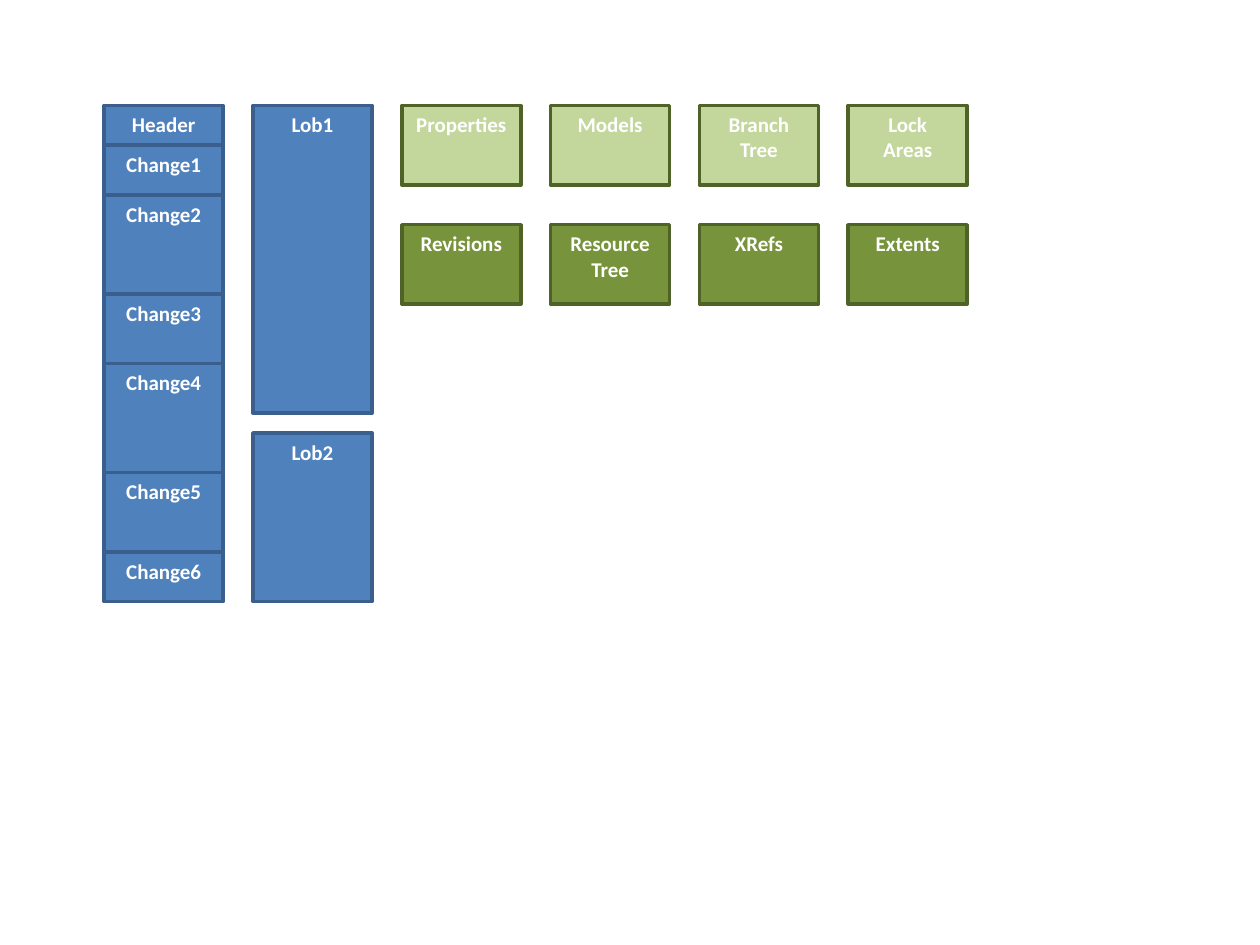
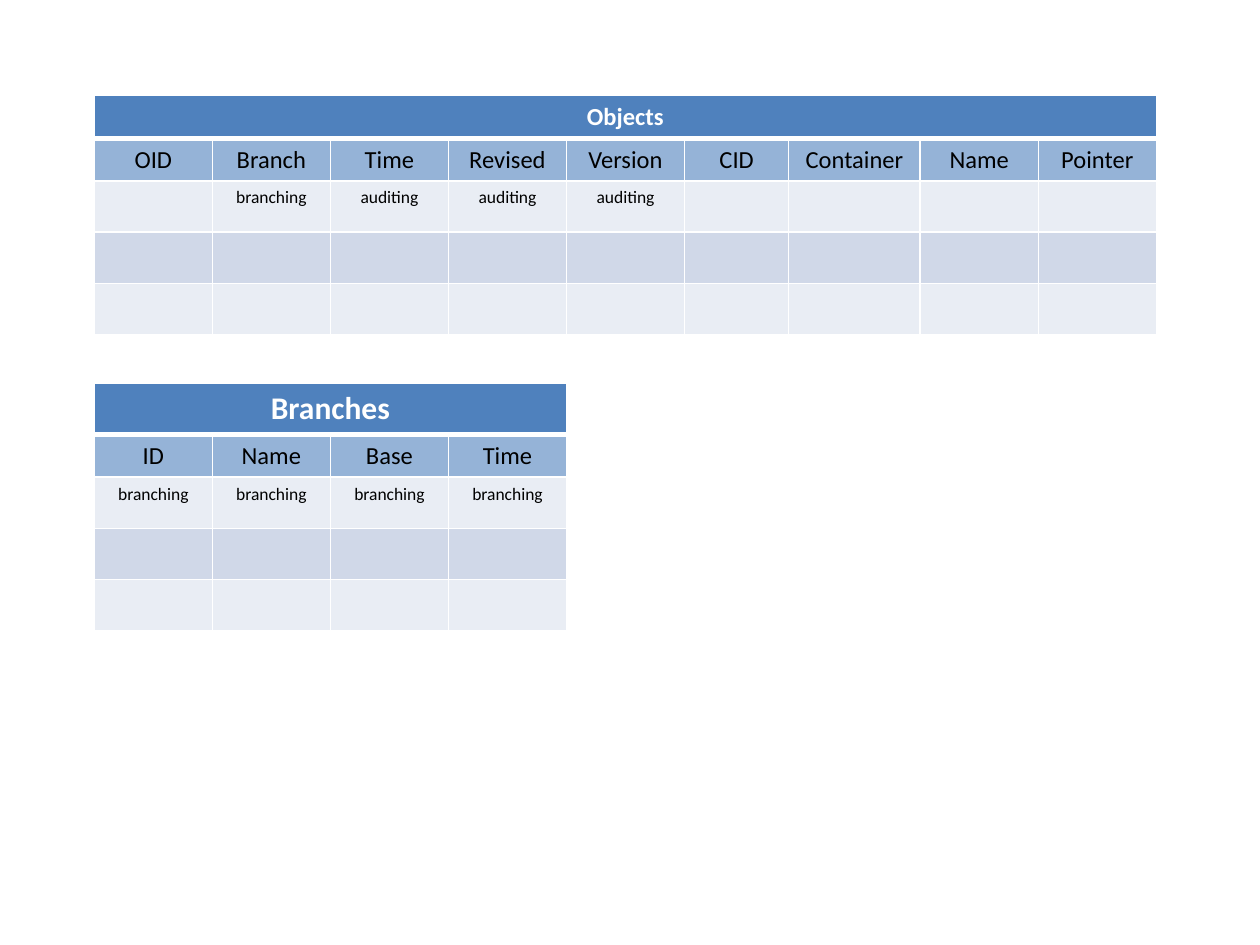
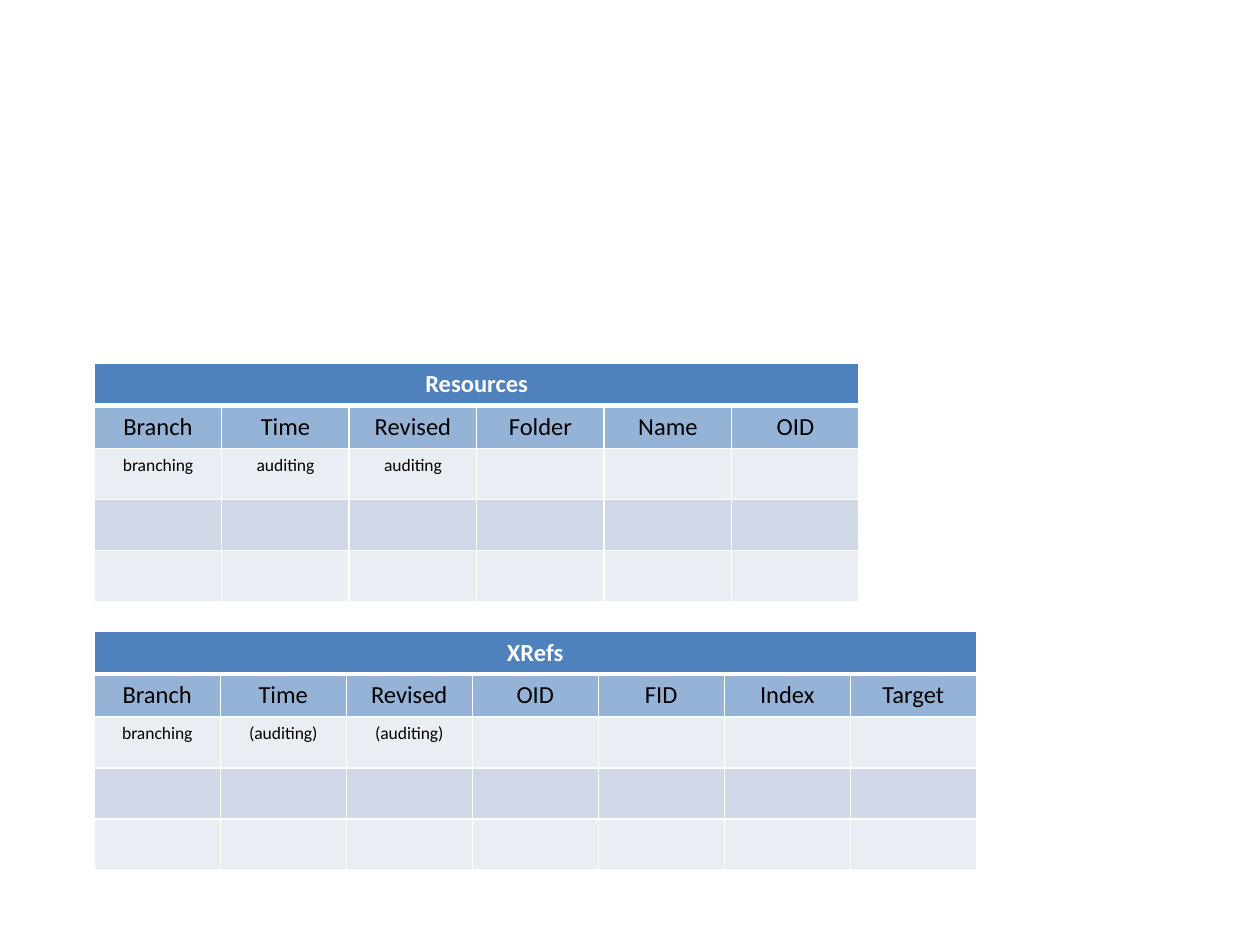
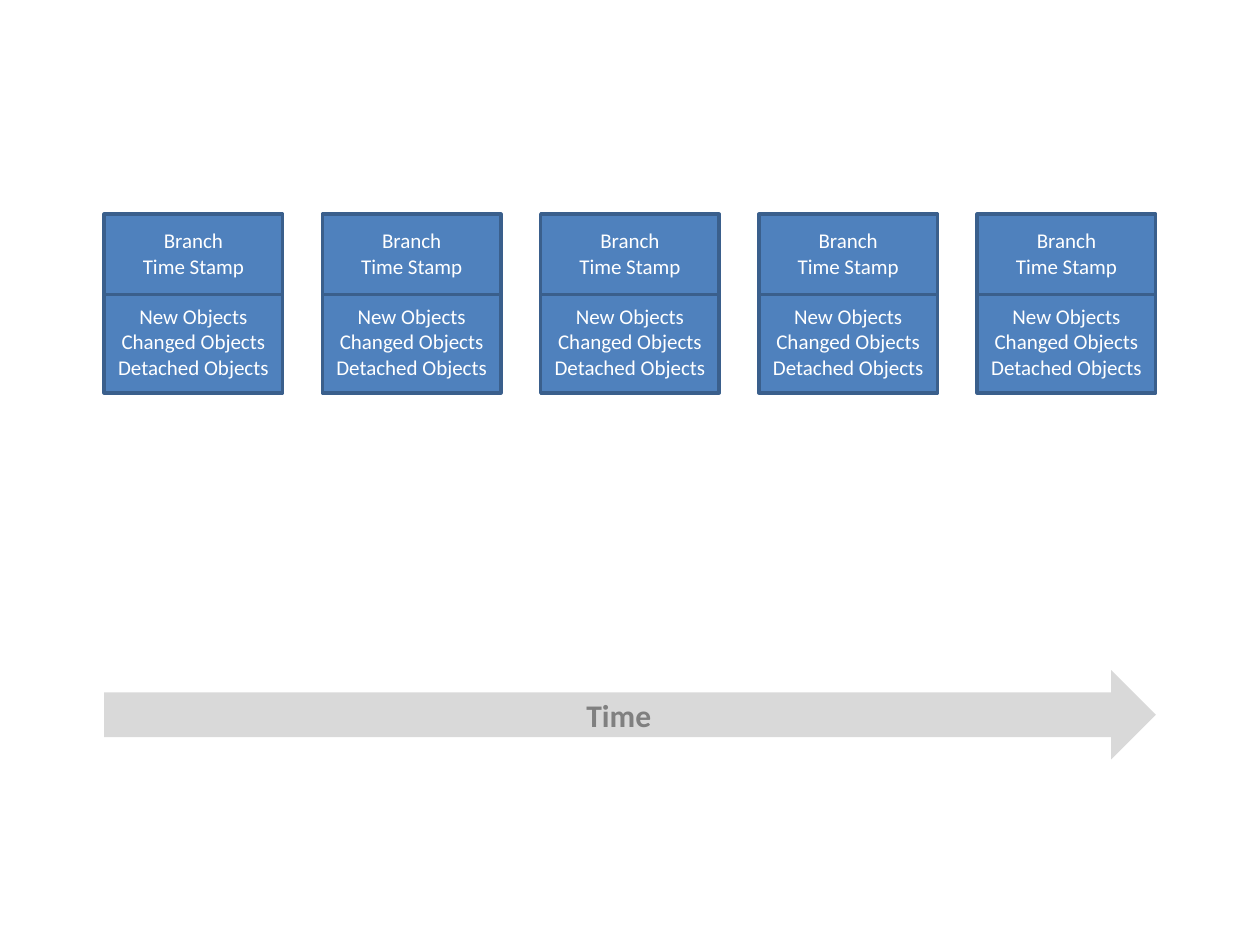
from dataclasses import dataclass
from itertools import accumulate

from lxml.etree import SubElement
from pptx import Presentation
from pptx.dml.color import RGBColor
from pptx.enum.shapes import MSO_CONNECTOR, MSO_SHAPE
from pptx.enum.text import MSO_ANCHOR, PP_ALIGN
from pptx.oxml.ns import qn
from pptx.util import Cm, Pt


@dataclass(frozen=True)
class Theme:
    font: str = "Calibri"
    white: str = "FFFFFF"
    black: str = "000000"
    blue: str = "4F81BD"
    blue_line: str = "3A5F8C"
    light_green: str = "C3D69B"
    green: str = "77933C"
    green_line: str = "4F6228"
    column_head: str = "95B3D7"
    bands: tuple = ("E9EDF4", "D0D8E8")
    arrow: str = "D9D9D9"
    arrow_text: str = "808080"
    note_size: int = 10
    box_size: int = 12
    head_size: int = 14
    big_size: int = 18
    line: int = 2


T = Theme()


def rgb(color):
    return RGBColor.from_string(color)


def write(tf, lines, size, color, bold=False):
    """Fill a text frame with centred paragraphs of one style."""
    tf.text = "\n".join(lines)
    for p in tf.paragraphs:
        p.alignment = PP_ALIGN.CENTER
        p.font.name = T.font
        p.font.size = Pt(size)
        p.font.bold = bold
        p.font.color.rgb = rgb(color)


def add_box(shapes, left, top, width, height, fill, line=None, kind=MSO_SHAPE.RECTANGLE):
    sp = shapes.add_shape(kind, Cm(left), Cm(top), Cm(width), Cm(height))
    sp.shadow.inherit = False
    sp.fill.solid()
    sp.fill.fore_color.rgb = rgb(fill)
    if line:
        sp.line.color.rgb = rgb(line)
        sp.line.width = Pt(T.line)
    else:
        sp.line.fill.background()
    sp.text_frame.word_wrap = True
    return sp


# Storage layout: stacked columns and a grid of streams

def add_label_box(shapes, left, top, width, height, label, fill, line):
    sp = add_box(shapes, left, top, width, height, fill, line)
    sp.text_frame.vertical_anchor = MSO_ANCHOR.TOP
    write(sp.text_frame, label.split("\n"), T.box_size, T.white, bold=True)


def add_stack(shapes, left, top, width, parts, gap=0):
    for label, height in parts:
        add_label_box(shapes, left, top, width, height, label, T.blue, T.blue_line)
        top += height + gap


def add_stream_grid(shapes, left, top, width, rows, pitch_x, pitch_y, height=1.6):
    for i, (fill, labels) in enumerate(rows):
        for j, label in enumerate(labels):
            add_label_box(shapes, left + j * pitch_x, top + i * pitch_y,
                          width, height, label, fill, T.green_line)


def storage_slide(slide, left=2.1, top=2.13, width=2.4, pitch=3.0):
    shapes = slide.shapes
    add_stack(shapes, left, top, width, [
        ("Header", 0.8), ("Change1", 1), ("Change2", 2), ("Change3", 1.4),
        ("Change4", 2.2), ("Change5", 1.6), ("Change6", 1)])
    add_stack(shapes, left + pitch, top, width, [("Lob1", 6.2), ("Lob2", 3.4)], gap=0.4)
    add_stream_grid(shapes, left + 2 * pitch, top, width, [
        (T.light_green, ["Properties", "Models", "Branch\nTree", "Lock\nAreas"]),
        (T.green, ["Revisions", "Resource\nTree", "XRefs", "Extents"]),
    ], pitch, 2.4)


# Schema tables

def set_borders(cell, top=1, bottom=1):
    tc_pr = cell._tc.get_or_add_tcPr()
    for side, width in zip("LRTB", (1, 1, top, bottom)):
        ln = SubElement(tc_pr, qn(f"a:ln{side}"), w=str(Pt(width)))
        fill = SubElement(ln, qn("a:solidFill"))
        SubElement(fill, qn("a:srgbClr"), val=T.white)


def add_schema(slide, left, top, title, heads, notes, widths, title_size=T.head_size):
    """A title row, column heads, a row of notes and two empty rows."""
    n = len(heads)
    title_height = 1.03 if title_size == T.big_size else 0.86
    heights = [title_height, 0.86, 1.03, 1.03, 1.03]
    frame = slide.shapes.add_table(len(heights), n, Cm(left), Cm(top),
                                   Cm(sum(widths)), Cm(sum(heights)))
    table = frame.table
    table.first_row = table.horz_banding = False
    for column, width in zip(table.columns, widths):
        column.width = Cm(width)

    blank = [""] * n
    note_row = notes + [""] * (n - len(notes))
    rows = [
        ([title] + blank[1:], T.blue, title_size, T.white),
        (heads, T.column_head, T.head_size, T.black),
        (note_row, T.bands[0], T.note_size, T.black),
        (blank, T.bands[1], T.note_size, T.black),
        (blank, T.bands[0], T.note_size, T.black),
    ]
    table.cell(0, 0).merge(table.cell(0, n - 1))
    for i, (texts, fill, size, color) in enumerate(rows):
        table.rows[i].height = Cm(heights[i])
        for j, text in enumerate(texts):
            cell = table.cell(i, j)
            set_borders(cell, top=3 if i == 1 else 1, bottom=3 if i == 0 else 1)
            cell.fill.solid()
            cell.fill.fore_color.rgb = rgb(fill)
            write(cell.text_frame, [text], size, color, bold=i == 0)


def objects_slide(slide, left=1.9, width=2.38):
    add_schema(slide, left, 1.93, "Objects",
               ["OID", "Branch", "Time", "Revised", "Version", "CID",
                "Container", "Name", "Pointer"],
               ["", "branching"] + ["auditing"] * 3,
               [width] * 5 + [2.1, 2.65] + [width] * 2)
    add_schema(slide, left, 7.73, "Branches", ["ID", "Name", "Base", "Time"],
               ["branching"] * 4, [width] * 4, title_size=T.big_size)


def resources_slide(slide, left=1.9):
    shared = ["Branch", "Time", "Revised"]
    add_schema(slide, left, 7.32, "Resources", shared + ["Folder", "Name", "OID"],
               ["branching", "auditing", "auditing"], [2.57] * 6)
    add_schema(slide, left, 12.73, "XRefs", shared + ["OID", "FID", "Index", "Target"],
               ["branching", "(auditing)", "(auditing)"], [2.54] * 7)


# Timeline of revisions

def add_revision(slide, left, top, size):
    shapes = slide.shapes.add_group_shape().shapes
    sp = add_box(shapes, left, top, size, size, T.blue, T.blue_line)
    tf = sp.text_frame
    tf.vertical_anchor = MSO_ANCHOR.MIDDLE
    write(tf, ["Branch", "Time Stamp", "New Objects", "Changed Objects",
               "Detached Objects"], T.box_size, T.white)
    tf.paragraphs[2].space_before = Pt(14.5)

    divider = top + 1.62
    line = shapes.add_connector(MSO_CONNECTOR.STRAIGHT, Cm(left), Cm(divider),
                                Cm(left + size), Cm(divider))
    line.line.color.rgb = rgb(T.blue_line)
    line.line.width = Pt(T.line)
    SubElement(line._element.spPr, qn("a:effectLst"))


def timeline_slide(slide, left=2.1, top=4.32, size=3.6, gap=0.8, count=5):
    starts = accumulate([size + gap] * (count - 1), initial=left)
    for start in starts:
        add_revision(slide, start, top, size)
    width = count * size + (count - 1) * gap
    sp = add_box(slide.shapes, left, top + 9.19, width, 1.8, T.arrow,
                 kind=MSO_SHAPE.RIGHT_ARROW)
    sp.text_frame.vertical_anchor = MSO_ANCHOR.MIDDLE
    write(sp.text_frame, ["Time"], T.big_size, T.arrow_text, bold=True)


def main():
    prs = Presentation()
    prs.slide_width, prs.slide_height = Cm(25.4), Cm(19.05)
    for build in (storage_slide, objects_slide, resources_slide, timeline_slide):
        build(prs.slides.add_slide(prs.slide_layouts[6]))
    prs.save("out.pptx")


if __name__ == "__main__":
    main()
